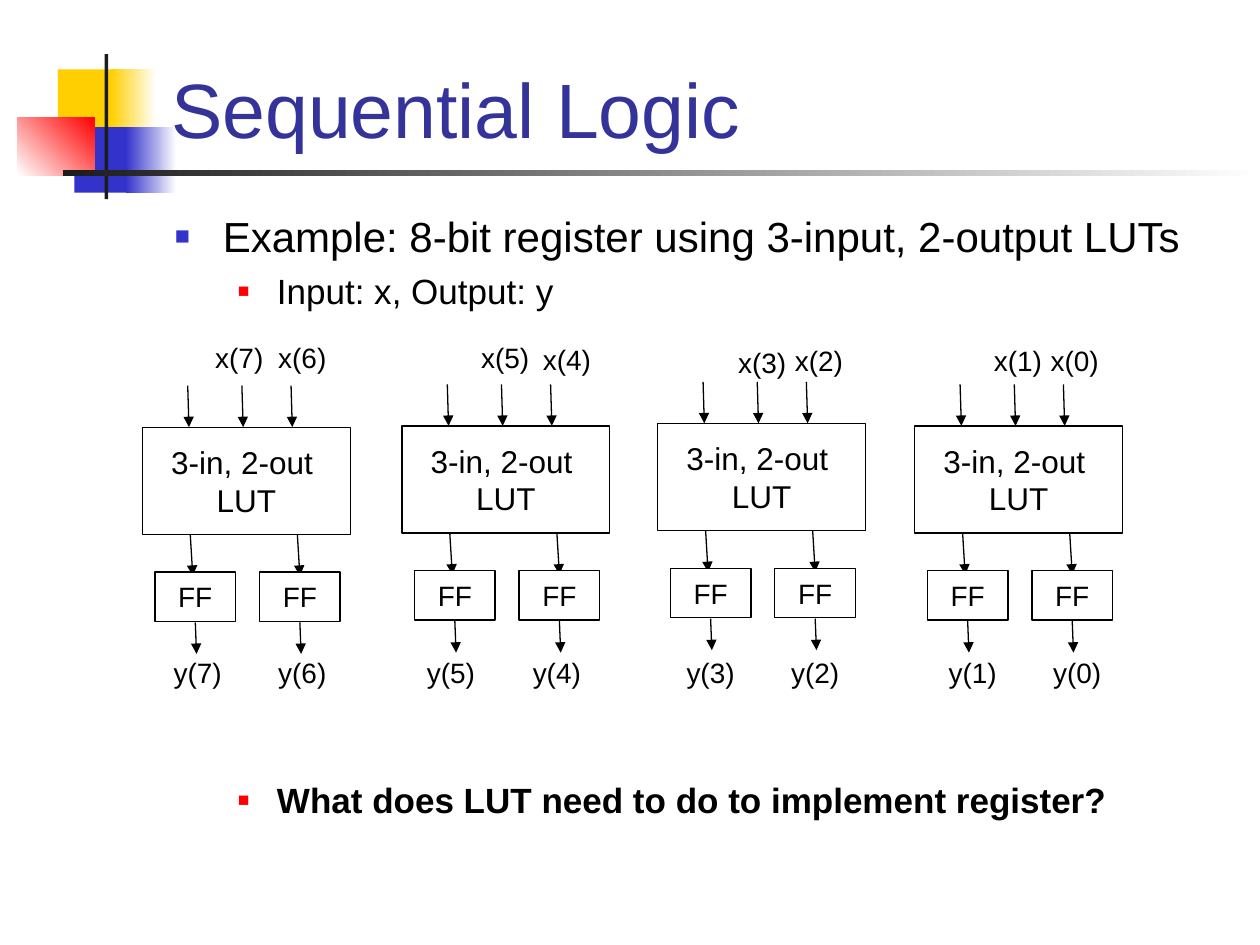
from typing import NamedTuple

from lxml import etree
from pptx import Presentation
from pptx.dml.color import RGBColor
from pptx.enum import shapes, text
from pptx.oxml import ns
from pptx.util import Inches, Pt

FONT = "Arial"
BLACK = "000000"
WHITE = "FFFFFF"


class Panel(NamedTuple):
    left: float
    top: float
    width: float
    height: float
    fill: str
    fade: str = ""
    angle: float = 0


class Item(NamedTuple):
    text: str
    size: float
    indent: float
    hang: float
    before: float
    color: str
    scale: int
    bold: bool = False


class Spot(NamedTuple):
    text: str
    left: float
    top: float


class Block(NamedTuple):
    left: float
    top: float
    ins: tuple[Spot, Spot]
    outs: tuple[Spot, Spot]


PANELS = [
    Panel(0.46, 0.55, 0.48, 0.52, "FFCF01"),
    Panel(0.88, 0.55, 0.36, 0.52, "FFCF01", WHITE),
    Panel(0.59, 1.01, 0.46, 0.52, "3333CC"),
    Panel(1, 1.01, 0.4, 0.52, "3333CC", WHITE),
    Panel(0.14, 0.93, 0.61, 0.46, WHITE, "FF0000", 45),
    Panel(0.83, 0.43, 0.03, 1.15, "1C1C1C"),
    Panel(0.5, 1.35, 9.5, 0.05, "1C1C1C", WHITE),
]

ITEMS = [
    Item("Example: 8-bit register using 3-input, 2-output LUTs",
         24, 0.38, 0.38, 0, "3333CC", 60),
    Item("Input: x, Output: y", 20, 0.81, 0.31, 5, "FF0000", 55),
    Item("What does LUT need to do to implement register?",
         20, 0.81, 0.31, 267, "FF0000", 55, True),
]

OUT_Y = 5.15
BLOCKS = [
    Block(1.13, 3.39, (Spot("x(7)", 1.61, 2.65), Spot("x(6)", 2.11, 2.65)),
          (Spot("y(7)", 1.28, OUT_Y), Spot("y(6)", 2.11, OUT_Y))),
    Block(3.19, 3.38, (Spot("x(5)", 3.72, 2.65), Spot("x(4)", 4.21, 2.67)),
          (Spot("y(5)", 3.29, OUT_Y), Spot("y(4)", 4.13, OUT_Y))),
    Block(5.22, 3.36, (Spot("x(3)", 5.76, 2.69), Spot("x(2)", 6.21, 2.68)),
          (Spot("y(3)", 5.35, OUT_Y), Spot("y(2)", 6.18, OUT_Y))),
    Block(7.26, 3.38, (Spot("x(1)", 7.79, 2.68), Spot("x(0)", 8.24, 2.68)),
          (Spot("y(1)", 7.43, OUT_Y), Spot("y(0)", 8.26, OUT_Y))),
]


def paint(target, color: str) -> None:
    """Set a fill or line format to one solid colour."""
    fill = getattr(target, "fill", target)
    fill.solid()
    fill.fore_color.rgb = RGBColor.from_string(color)


def style(para, size: float, color: str = BLACK, bold: bool = False) -> None:
    for run in para.runs:
        run.font.name = FONT
        run.font.size = Pt(size)
        run.font.bold = bold
        run.font.color.rgb = RGBColor.from_string(color)


def add_rect(slide, left: float, top: float, width: float, height: float):
    rect = slide.shapes.add_shape(
        shapes.MSO_SHAPE.RECTANGLE,
        Inches(left), Inches(top), Inches(width), Inches(height))
    rect.shadow.inherit = False
    return rect


def add_panel(slide, panel: Panel) -> None:
    rect = add_rect(slide, *panel[:4])
    rect.line.fill.background()
    if not panel.fade:
        paint(rect.fill, panel.fill)
        return
    rect.fill.gradient()
    rect.fill.gradient_angle = panel.angle
    for stop, color in zip(rect.fill.gradient_stops, (panel.fill, panel.fade)):
        stop.color.rgb = RGBColor.from_string(color)


def add_box(slide, words: str, left: float, top: float, width: float,
            height: float, size: float, filled: bool) -> None:
    """Draw an outlined box with centred text."""
    box = add_rect(slide, left, top, width, height)
    if filled:
        paint(box.fill, WHITE)
    else:
        box.fill.background()
    paint(box.line, BLACK)
    box.line.width = Pt(0.75)
    frame = box.text_frame
    frame.text = words
    frame.word_wrap = False
    frame.vertical_anchor = text.MSO_ANCHOR.MIDDLE
    for para in frame.paragraphs:
        para.alignment = text.PP_ALIGN.CENTER
        style(para, size)


def add_text(slide, words: str, left: float, top: float, width: float,
             height: float, size: float, color: str = BLACK):
    box = slide.shapes.add_textbox(
        Inches(left), Inches(top), Inches(width), Inches(height))
    frame = box.text_frame
    frame.word_wrap = True
    frame.text = words
    for para in frame.paragraphs:
        style(para, size, color)
    return frame


def add_arrow(slide, left: float, top: float, dx: float, dy: float) -> None:
    line = slide.shapes.add_connector(
        shapes.MSO_CONNECTOR.STRAIGHT, Inches(left), Inches(top),
        Inches(left + dx), Inches(top + dy))
    paint(line.line, BLACK)
    line.line.width = Pt(0.75)
    etree.SubElement(line.line._ln, ns.qn("a:tailEnd"), type="triangle")
    etree.SubElement(line._element.spPr, ns.qn("a:effectLst"))


def add_bullet(para, item: Item) -> None:
    props = para._p.get_or_add_pPr()
    props.set("marL", str(Inches(item.indent)))
    props.set("indent", str(-Inches(item.hang)))
    tint = etree.SubElement(props, ns.qn("a:buClr"))
    etree.SubElement(tint, ns.qn("a:srgbClr"), val=item.color)
    etree.SubElement(props, ns.qn("a:buSzPct"), val=str(item.scale * 1000))
    etree.SubElement(props, ns.qn("a:buFont"), typeface=FONT)
    etree.SubElement(props, ns.qn("a:buChar"), char="■")


def add_list(slide) -> None:
    words = "\n".join(item.text for item in ITEMS)
    frame = add_text(slide, words, 1.29, 1.58, 8.5, 5.12, 20)
    frame.margin_top = Inches(0.09)
    for para, item in zip(frame.paragraphs, ITEMS):
        add_bullet(para, item)
        para.space_before = Pt(item.before)
        style(para, item.size, bold=item.bold)


def add_block(slide, block: Block) -> None:
    """Draw one LUT with its inputs, flip-flops and outputs."""
    left, top = block.left, block.top
    add_box(slide, "3-in, 2-out \nLUT", left, top, 1.65, 0.85, 18, False)
    for shift in (0.36, 0.79, 1.18):
        add_arrow(slide, left + shift, top - 0.33, 0.01, 0.33)
    for shift in (0.38, 1.23):
        add_arrow(slide, left + shift, top + 0.85, 0.02, 0.33)
    for shift in (0.1, 0.93):
        add_box(slide, "FF", left + shift, top + 1.15, 0.64, 0.39, 16, True)
        add_arrow(slide, left + shift + 0.32, top + 1.55, 0.01, 0.25)
    for spot in block.ins + block.outs:
        add_text(slide, *spot, 0.69, 0.37, 16)


def main() -> None:
    deck = Presentation()
    deck.slide_width, deck.slide_height = Inches(10), Inches(7.5)
    slide = deck.slides.add_slide(deck.slide_layouts[6])
    for panel in PANELS:
        add_panel(slide, panel)
    title = add_text(slide, "Sequential Logic",
                     1.26, 0.02, 8.52, 1.25, 44, "333399")
    title.vertical_anchor = text.MSO_ANCHOR.BOTTOM
    add_list(slide)
    for block in BLOCKS:
        add_block(slide, block)
    deck.save("out.pptx")


if __name__ == "__main__":
    main()
